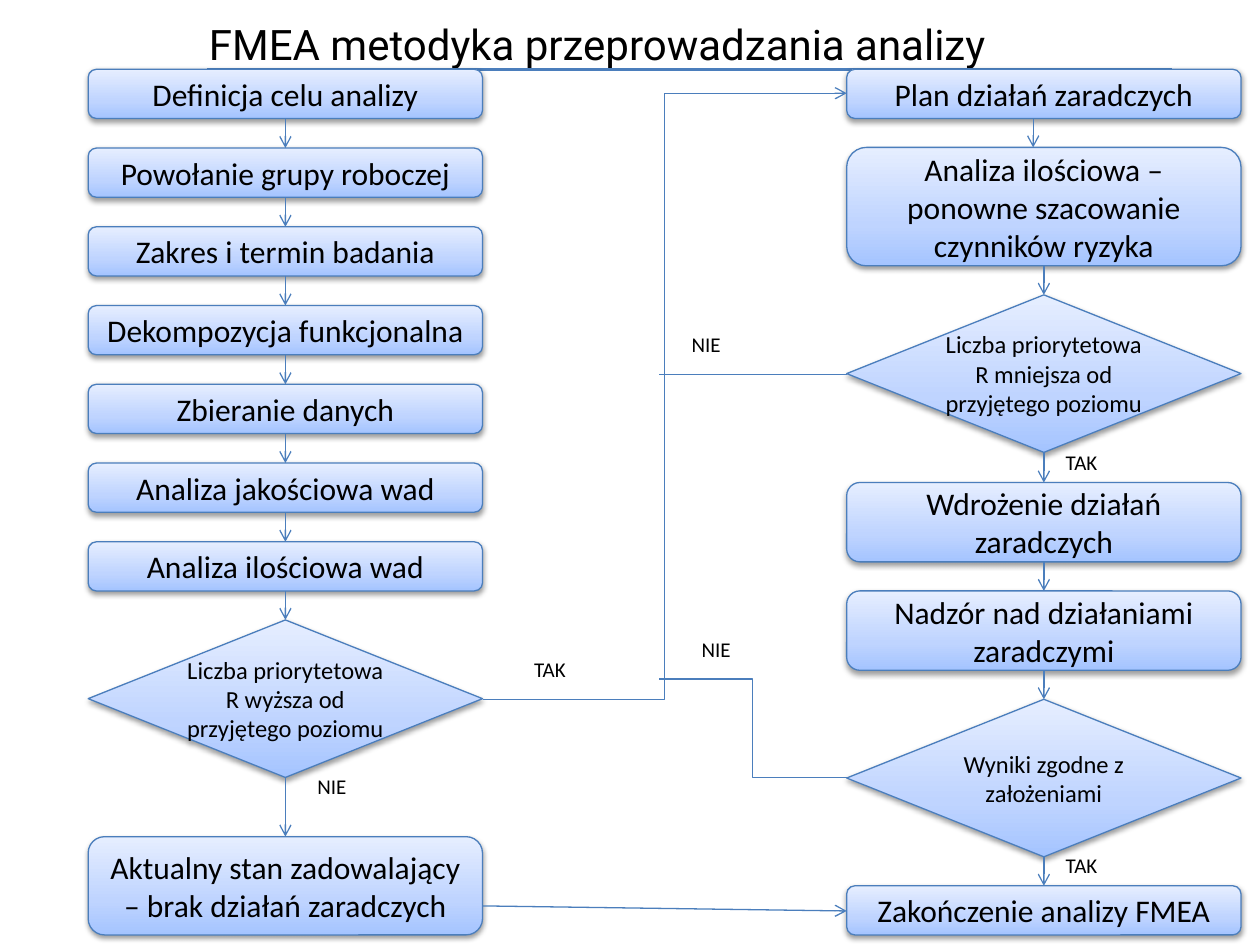
from dataclasses import dataclass
from itertools import pairwise

from lxml.etree import SubElement
from pptx import Presentation
from pptx.dml.color import RGBColor as Rgb
from pptx.enum.shapes import MSO_CONNECTOR as Conn, MSO_SHAPE as Shp
from pptx.enum.text import MSO_ANCHOR as Anchor, PP_ALIGN as Align
from pptx.oxml.ns import qn
from pptx.util import Inches, Pt


@dataclass(frozen=True)
class Theme:
    """Colours, fonts and sizes of the slide."""
    ink: str = "000000"
    edge: str = "4B7EBC"
    stops: tuple = ((0, "A4C4FF"), (35, "BFD4FF"), (100, "E6EEFF"))
    head: str = "Roboto"
    body: str = "Calibri"
    title: int = 24
    step: int = 18
    test: int = 14
    label: int = 12
    thin: float = 0.75
    thick: float = 2


THEME = Theme()
WIDE = 3.13
LEFT, RIGHT = 0.7, 6.72
LOW, TALL, HIGH = 0.39, 0.63, 1.25
TOP, PITCH = 0.55, 0.625

STEPS = ["Definicja celu analizy", "Powołanie grupy roboczej",
         "Zakres i termin badania", "Dekompozycja funkcjonalna",
         "Zbieranie danych", "Analiza jakościowa wad",
         "Analiza ilościowa wad"]

# Text, top, height, is a decision
CHECK = [
    ("Liczba priorytetowa R wyższa od przyjętego poziomu", 4.92, HIGH, True),
    ("Aktualny stan zadowalający – brak działań zaradczych", 6.64, 0.78, False),
]
ACTIONS = [
    ("Plan działań zaradczych", TOP, LOW, False),
    ("Analiza ilościowa – ponowne szacowanie czynników ryzyka",
     1.17, 0.94, False),
    ("Liczba priorytetowa R mniejsza od przyjętego poziomu", 2.34, HIGH, True),
    ("Wdrożenie działań zaradczych", 3.83, TALL, False),
    ("Nadzór nad działaniami zaradczymi", 4.69, TALL, False),
    ("Wyniki zgodne z założeniami", 5.55, HIGH, True),
    ("Zakończenie analizy FMEA", 7.03, LOW, False),
]
LABELS = [("TAK", 4.14, 5.16), ("TAK", 8.36, 3.52), ("TAK", 8.36, 6.72),
          ("NIE", 2.42, 6.09), ("NIE", 5.47, 5), ("NIE", 5.39, 2.58)]


def write(frame, text, size, font, align=Align.LEFT):
    """Put one styled paragraph into a text frame."""
    frame.word_wrap = True
    frame.text = text
    par = frame.paragraphs[0]
    par.alignment = align
    face = par.runs[0].font
    face.size, face.name = Pt(size), font
    face.color.rgb = Rgb.from_string(THEME.ink)


def shade(shape):
    """Give a shape the gradient fill and the soft shadow below it."""
    shape.fill.gradient()
    shape.fill.gradient_angle = 90
    stops = shape.element.spPr.find(".//" + qn("a:gsLst"))
    stops.clear()
    for pos, tone in THEME.stops:
        stop = SubElement(stops, qn("a:gs"), pos=str(pos * 1000))
        SubElement(stop, qn("a:srgbClr"), val=tone)
    shape.shadow.inherit = False
    glow = shape.element.spPr.find(qn("a:effectLst"))
    drop = SubElement(glow, qn("a:outerShdw"), blurRad=str(Pt(3.1)),
                      dist=str(Pt(1.6)), dir="5400000", rotWithShape="0")
    black = SubElement(drop, qn("a:srgbClr"), val=THEME.ink)
    SubElement(black, qn("a:alpha"), val="38000")


def box(slide, left, text, top, high, test):
    """Draw one step, or a decision when test is true."""
    kind = Shp.FLOWCHART_DECISION if test else Shp.ROUNDED_RECTANGLE
    shape = slide.shapes.add_shape(
        kind, Inches(left), Inches(top), Inches(WIDE), Inches(high))
    shape.line.color.rgb = Rgb.from_string(THEME.edge)
    shape.line.width = Pt(THEME.thin)
    shade(shape)
    frame = shape.text_frame
    frame.vertical_anchor = Anchor.MIDDLE
    if test:
        frame.margin_left = frame.margin_right = 0
        frame.margin_top = frame.margin_bottom = 0
    size = THEME.test if test else THEME.step
    write(frame, text, size, THEME.body, Align.CENTER)
    return shape


def line(slide, start, end, arrow=True, kind=Conn.STRAIGHT, width=THEME.thin):
    """Draw a connector between two points."""
    link = slide.shapes.add_connector(
        kind, *(Inches(val) for val in (*start, *end)))
    link.line.color.rgb = Rgb.from_string(THEME.edge)
    link.line.width = Pt(width)
    if arrow:
        SubElement(link.line._get_or_add_ln(), qn("a:tailEnd"), type="arrow")
    SubElement(link.element.spPr, qn("a:effectLst"))
    return link


def chain(slide, shapes):
    """Join each shape's bottom to the top of the next one."""
    for upper, lower in pairwise(shapes):
        link = line(slide, (0, 0), (1, 1))
        link.begin_connect(upper, 2)
        link.end_connect(lower, 0)


def note(slide, text, left, top, wide, high, size, font, anchor=Anchor.TOP):
    """Add a plain text box."""
    area = slide.shapes.add_textbox(
        Inches(left), Inches(top), Inches(wide), Inches(high))
    area.text_frame.vertical_anchor = anchor
    write(area.text_frame, text, size, font)


def main():
    """Build the flow chart slide."""
    deck = Presentation()
    deck.slide_width, deck.slide_height = Inches(10), Inches(7.5)
    slide = deck.slides.add_slide(deck.slide_layouts[6])

    note(slide, "FMEA metodyka przeprowadzania analizy", 1.56, 0, 7.91, 0.7,
         THEME.title, THEME.head, Anchor.MIDDLE)
    line(slide, (1.64, TOP), (9.3, TOP), arrow=False, width=THEME.thick)

    steps = [(text, TOP + row * PITCH, LOW, False)
             for row, text in enumerate(STEPS)]
    study = [box(slide, LEFT, *item) for item in steps + CHECK]
    plan = [box(slide, RIGHT, *item) for item in ACTIONS]
    chain(slide, study)
    line(slide, (8.2, 0.94), (8.2, 1.17))
    chain(slide, plan[1:])

    line(slide, (LEFT + WIDE, 5.55), (RIGHT, 0.74), kind=Conn.ELBOW)
    line(slide, (RIGHT, 2.97), (5.23, 2.97), arrow=False)
    line(slide, (RIGHT, 6.17), (5.23, 5.39), arrow=False, kind=Conn.ELBOW)
    line(slide, (LEFT + WIDE, 7.19), (RIGHT, 7.23))

    for text, left, top in LABELS:
        note(slide, text, left, top, 0.55, 0.31, THEME.label, THEME.body)
    deck.save("out.pptx")


main()
